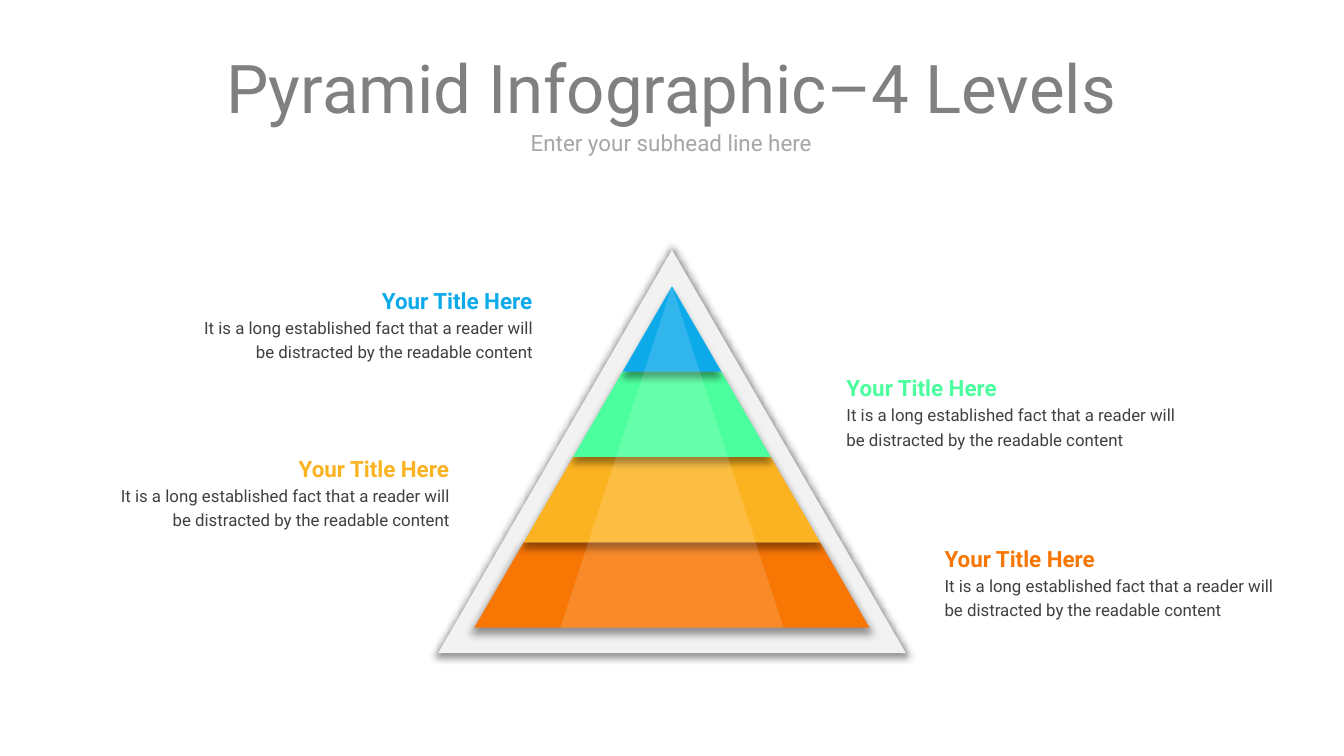
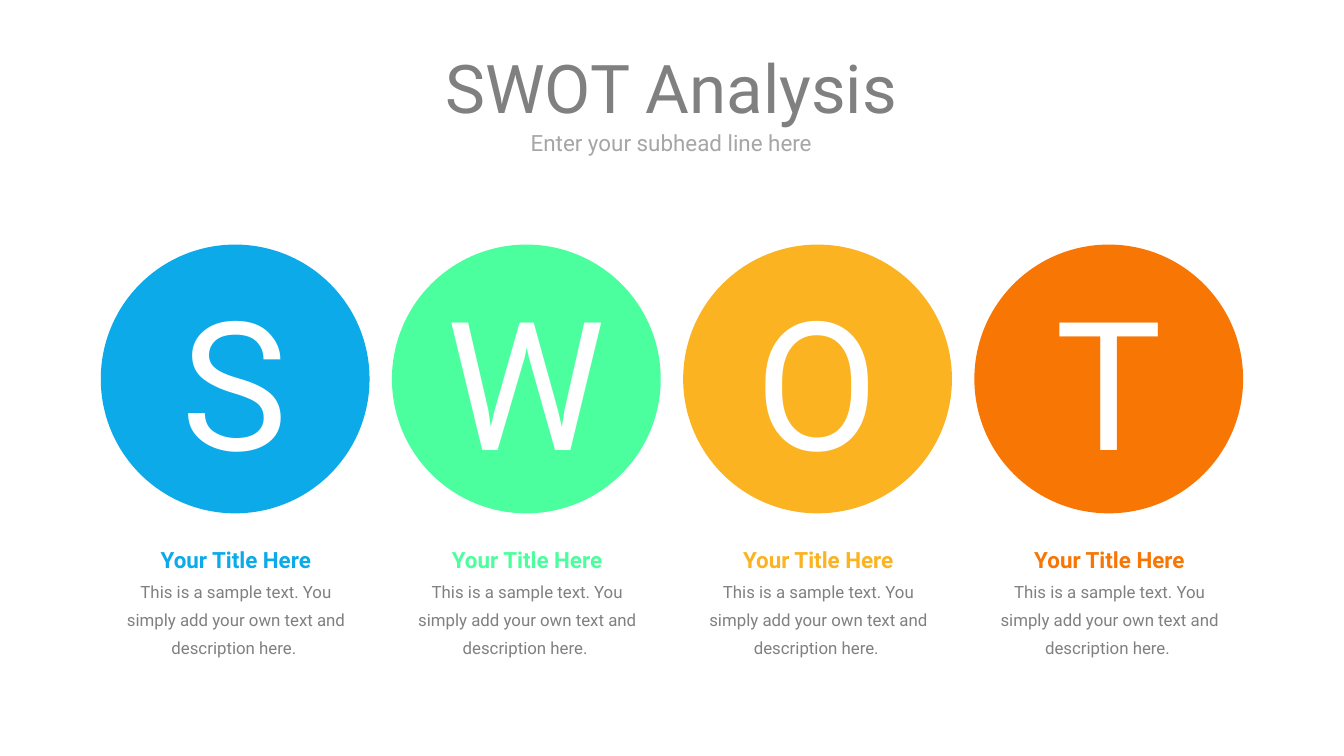
from lxml import etree
from pptx import Presentation
from pptx import util as u
from pptx.dml import color
from pptx.enum import shapes, text
from pptx.oxml import ns

SCALE = 9144
FONT = "Roboto"
BLUE, GREEN, GOLD, ORANGE = HUES = ("0CAAE9", "4BFF9E", "FBB321", "F87604")
GRAY, PALE, DARK, WHITE, SILVER = "808080", "A6A6A6", "404040", "FFFFFF", "F2F2F2"
LEFT, MID, RIGHT = text.PP_ALIGN.LEFT, text.PP_ALIGN.CENTER, text.PP_ALIGN.RIGHT
HEAD = "Your Title Here"
FACT = ("It is a long established fact that a reader will "
        "be distracted by the readable content")
SAMPLE = "This is a sample text. You simply add your own text and description here. "


def px(n):
    return u.Emu(round(n * SCALE))


def rgb(code):
    return color.RGBColor.from_string(code)


def style(para, size, hue, align=MID, bold=False, space=None):
    para.alignment = align
    if space:
        para.line_spacing = space
    for run in para.runs:
        run.font.name = FONT
        run.font.size = u.Pt(size)
        run.font.bold = bold
        run.font.color.rgb = rgb(hue)


def frame(shape, inset=True, wrap=True, fit=False):
    tf = shape.text_frame
    tf.word_wrap = wrap
    auto = text.MSO_AUTO_SIZE
    tf.auto_size = auto.SHAPE_TO_FIT_TEXT if fit else auto.NONE
    tf.vertical_anchor = text.MSO_ANCHOR.MIDDLE
    if not inset:
        tf.margin_left = tf.margin_right = tf.margin_top = tf.margin_bottom = 0
    return tf


def paint(shape, hue):
    shape.fill.solid()
    shape.fill.fore_color.rgb = rgb(hue)
    shape.line.fill.background()
    shape.shadow.inherit = False


def fade(node, percent):
    etree.SubElement(node, ns.qn("a:alpha"), val=str(percent * 1000))


def shade(shape, percent, dist):
    effect = shape._element.spPr.find(ns.qn("a:effectLst"))
    drop = etree.SubElement(effect, ns.qn("a:outerShdw"),
                            blurRad=str(u.Pt(4)), dist=str(u.Pt(dist)),
                            dir="5400000", sx="102000", sy="102000",
                            algn="ctr", rotWithShape="0")
    fade(etree.SubElement(drop, ns.qn("a:srgbClr"), val="000000"), percent)


def start(deck, name):
    slide = deck.slides.add_slide(deck.slide_layouts[5])
    title = slide.shapes.title
    title.left, title.top, title.width, title.height = map(px, (42, 37, 915, 55))
    tf = frame(title, inset=False)
    tf.text = name
    style(tf.paragraphs[0], 36, GRAY)
    sub = slide.shapes.add_textbox(*map(px, (42, 97, 915, 18)))
    tf = frame(sub, inset=False, wrap=False)
    tf.text = "Enter your subhead line here"
    style(tf.paragraphs[0], 12, PALE)
    return slide


def label(slide, box, hue, body, tone, align, space, inset=True):
    shape = slide.shapes.add_textbox(*map(px, box))
    tf = frame(shape, inset, fit=True)
    tf.text = HEAD + "\n" + body
    head, rest = tf.paragraphs
    style(head, 12, hue, align, True, space)
    style(rest, 9, tone, align, False, space)


def slab(slide, top, base, upper, lower, hue):
    axis = 500
    spots = [(axis + lower, base), (axis - lower, base)]
    if upper:
        spots.append((axis - upper, top))
    pen = slide.shapes.build_freeform(px(axis + upper), px(top))
    pen.add_line_segments([(px(x), px(y)) for x, y in spots])
    shape = pen.convert_to_shape()
    paint(shape, hue)
    return shape


def pyramid(slide):
    apex, base, half = 213, 467, 147
    rise, run = (base - apex) / len(HUES), half / len(HUES)
    rim = slab(slide, 186, 486, 0, 174, SILVER)
    shade(rim, 45, 0)
    parts = [rim]
    for i, hue in reversed(list(enumerate(HUES))):
        level = slab(slide, apex + i * rise, apex + (i + 1) * rise,
                     i * run, (i + 1) * run, hue)
        shade(level, 40, 3)
        parts.append(level)
    gloss = slab(slide, apex, base, 0, 83, WHITE)
    fade(gloss._element.spPr.find(".//" + ns.qn("a:srgbClr")), 15)
    slide.shapes.add_group_shape(parts + [gloss])


def levels(deck):
    slide = start(deck, "Pyramid Infographic–4 Levels")
    pyramid(slide)
    for x, y, wide, hue, align in (
        (620, 269, 264, GREEN, LEFT),
        (693, 396, 264, ORANGE, LEFT),
        (136, 204, 270, BLUE, RIGHT),
        (74, 329, 270, GOLD, RIGHT),
    ):
        label(slide, (x, y, wide, 71), hue, FACT, DARK, align, 1.2)


def swot(deck):
    slide = start(deck, "SWOT Analysis")
    size, first, last = 200, 75, 725
    step = (last - first) / (len(HUES) - 1)
    for i, (mark, hue) in enumerate(zip("SWOT", HUES)):
        x = first + i * step
        disc = slide.shapes.add_shape(shapes.MSO_SHAPE.OVAL,
                                      *map(px, (x, 182, size, size)))
        paint(disc, hue)
        tf = frame(disc)
        tf.text = mark
        style(tf.paragraphs[0], 96, WHITE)
        label(slide, (x + 13, 398, 175, 92), hue, SAMPLE, GRAY, MID, 1.4, False)


def main():
    deck = Presentation()
    deck.slide_width = px(1000)
    deck.slide_height = deck.slide_width * 9 // 16
    levels(deck)
    swot(deck)
    deck.save("out.pptx")


if __name__ == "__main__":
    main()
